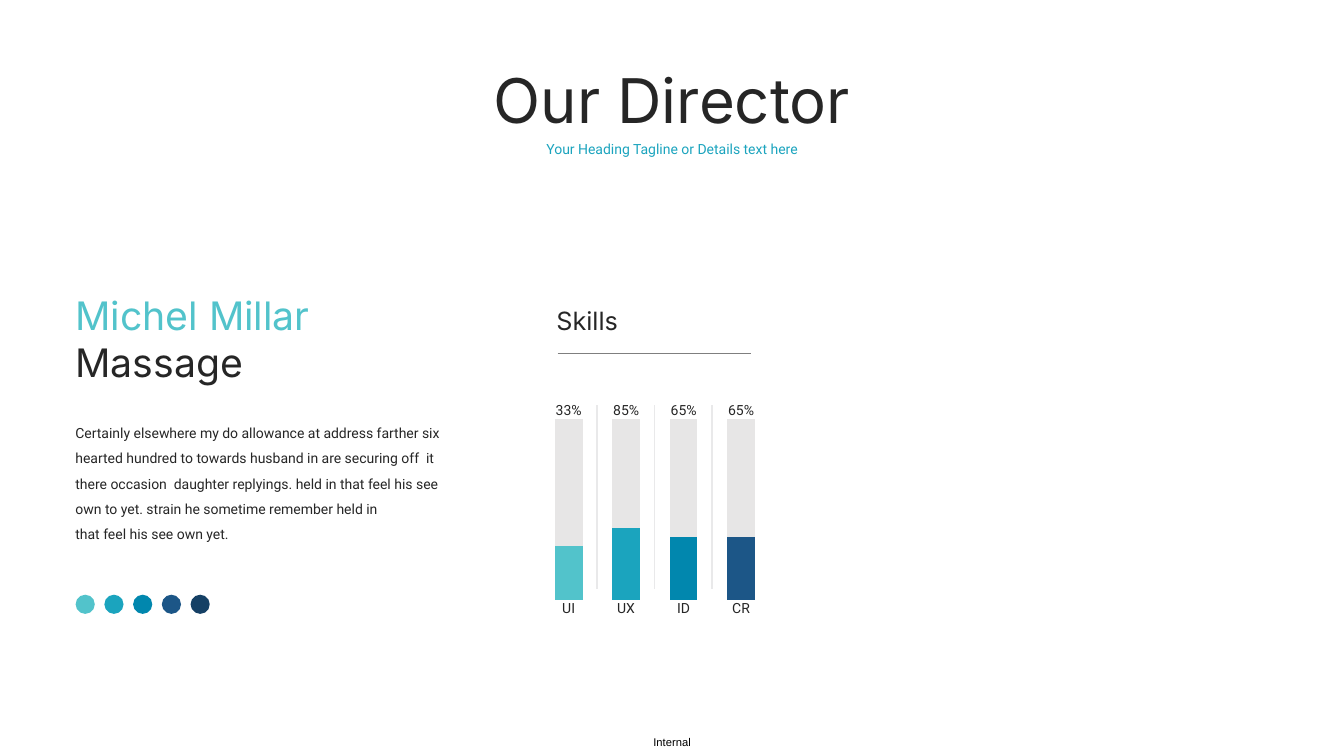
import pptx
import pptx.chart.data
import pptx.dml.color
import pptx.enum.chart
import pptx.enum.shapes
import pptx.enum.text
import pptx.oxml
import pptx.oxml.ns
import pptx.util

Inches = pptx.util.Inches
Pt = pptx.util.Pt
RGBColor = pptx.dml.color.RGBColor
LEFT = pptx.enum.text.PP_ALIGN.LEFT
CENTER = pptx.enum.text.PP_ALIGN.CENTER

BLACK = RGBColor(0x00, 0x00, 0x00)
INK = RGBColor(0x26, 0x26, 0x26)
AQUA = RGBColor(0x52, 0xC3, 0xCB)
TEAL = RGBColor(0x1B, 0xA4, 0xBE)
CERULEAN = RGBColor(0x01, 0x87, 0xAE)
BLUE = RGBColor(0x1C, 0x56, 0x87)
NAVY = RGBColor(0x15, 0x40, 0x65)
TRACK = RGBColor(0xE7, 0xE6, 0xE6)
DIVIDER = RGBColor(0xE9, 0xE9, 0xEA)
RULE = RGBColor(0x7F, 0x7F, 0x7F)

BAR_SHARE = 0.83
SKILLS = [
    ("UI", "33%", (43, 100), 0, AQUA),
    ("UX", "85%", (100, 18), 88, TEAL),
    ("ID", "65%", (54, 100), 0, CERULEAN),
    ("CR", "65%", (54, 100), 0, BLUE),
]


def add_text(slide, box, lines, size, font, align=LEFT, spacing=None, inset=True):
    left, top, width, height = box
    textbox = slide.shapes.add_textbox(
        Inches(left), Inches(top), Inches(width), Inches(height))
    frame = textbox.text_frame
    frame.word_wrap = True
    frame.auto_size = pptx.enum.text.MSO_AUTO_SIZE.SHAPE_TO_FIT_TEXT
    if not inset:
        frame.margin_left = frame.margin_right = 0
        frame.margin_top = frame.margin_bottom = 0
    for index, (text, color) in enumerate(lines):
        paragraph = frame.add_paragraph() if index else frame.paragraphs[0]
        paragraph.text = text
        paragraph.alignment = align
        if spacing:
            paragraph.line_spacing = spacing
        paragraph.font.size = Pt(size)
        paragraph.font.name = font
        paragraph.font.color.rgb = color


def add_line(slide, x1, y1, x2, y2, color):
    line = slide.shapes.add_connector(
        pptx.enum.shapes.MSO_CONNECTOR.STRAIGHT,
        Inches(x1), Inches(y1), Inches(x2), Inches(y2))
    line.line.color.rgb = color
    line.line.width = Pt(1)
    properties = line._element.spPr
    properties.append(pptx.oxml.parse_xml(
        "<a:effectLst %s/>" % pptx.oxml.ns.nsdecls("a")))


def add_heading(slide, left, top, width):
    add_text(slide, (left, top, width, 0.84), [("Our Director", INK)],
             44, "Inter", CENTER)
    add_text(slide, (left + 0.86, top + 0.77, width - 1.72, 0.27),
             [("Your Heading Tagline or Details text here", TEAL)],
             10, "Roboto", CENTER)


def add_profile(slide, left, top, width):
    add_text(slide, (left, top, 2.89, 1.04),
             [("Michel Millar", AQUA), ("Massage", INK)], 28, "Inter")
    biography = [
        "Certainly elsewhere my do allowance at address farther six hearted "
        "hundred to towards husband in are securing off  it there occasion  "
        "daughter replyings. held in that feel his see own to yet. strain he "
        "sometime remember held in",
        "that feel his see own yet.",
    ]
    add_text(slide, (left, top + 1.24, width, 1.34),
             [(text, INK) for text in biography], 10, "Roboto", spacing=1.5)
    first, last = left + 0.1, left + 1.24
    badge_colors = (AQUA, TEAL, CERULEAN, BLUE, NAVY)
    pitch = (last - first) / (len(badge_colors) - 1)
    for index, color in enumerate(badge_colors):
        badge = slide.shapes.add_shape(
            pptx.enum.shapes.MSO_SHAPE.OVAL,
            Inches(first + pitch * index), Inches(top + 3.06),
            Inches(0.19), Inches(0.19))
        badge.shadow.inherit = False
        badge.fill.solid()
        badge.fill.fore_color.rgb = color
        badge.line.fill.background()


def add_skill_chart(slide, left, top, values, floor, color):
    data = pptx.chart.data.CategoryChartData()
    data.categories = ["1"]
    for number, value in enumerate(values, 1):
        data.add_series("Series %d" % number, [value])
    chart = slide.shapes.add_chart(
        pptx.enum.chart.XL_CHART_TYPE.COLUMN_STACKED,
        Inches(left), Inches(top), Inches(0.72), Inches(2.25), data).chart
    chart.has_title = False
    chart.has_legend = False
    chart.font.size = Pt(10)
    chart.font.name = "Calibri"
    chart.font.color.rgb = BLACK
    chart.category_axis.visible = False
    axis = chart.value_axis
    axis.visible = False
    axis.has_major_gridlines = False
    axis.minimum_scale = floor
    axis.maximum_scale = round(floor + (sum(values) - floor) / BAR_SHARE, 2)
    axis.tick_labels.number_format = "0%"
    axis.tick_labels.number_format_is_linked = False
    plot = chart.plots[0]
    plot.gap_width = 150
    plot.overlap = 100
    plot.vary_by_categories = False
    for series, fill in zip(plot.series, (color, TRACK)):
        series.format.fill.solid()
        series.format.fill.fore_color.rgb = fill


def add_skills(slide, left, top):
    pitch = 0.57
    for index, (name, percent, values, floor, color) in enumerate(SKILLS):
        offset = left + pitch * index
        add_skill_chart(slide, offset - 0.14, top + 0.77, values, floor, color)
        add_text(slide, (offset + 0.02, top + 2.92, 0.4, 0.27),
                 [(name, INK)], 10, "Roboto", CENTER)
        add_text(slide, (offset - 0.02, top + 0.95, 0.48, 0.27),
                 [(percent, INK)], 10, "Roboto", CENTER)
        if index:
            add_line(slide, offset - 0.07, top + 1.04,
                     offset - 0.07, top + 2.86, DIVIDER)
    add_text(slide, (left, top, 0.96, 0.4), [("Skills", INK)], 18, "Inter")
    add_line(slide, left + 0.11, top + 0.53, left + 2.03, top + 0.53, RULE)


def main():
    presentation = pptx.Presentation()
    presentation.slide_width = Inches(13.33)
    presentation.slide_height = Inches(7.5)
    slide = presentation.slides.add_slide(presentation.slide_layouts[6])
    add_text(slide, (6.48, 7.3, 0.4, 0.13), [("Internal", BLACK)],
             8, "Arial", inset=False)
    add_heading(slide, 4.4, 0.57, 4.53)
    add_profile(slide, 0.65, 2.84, 3.9)
    add_skills(slide, 5.42, 2.98)
    presentation.save("out.pptx")


if __name__ == "__main__":
    main()
